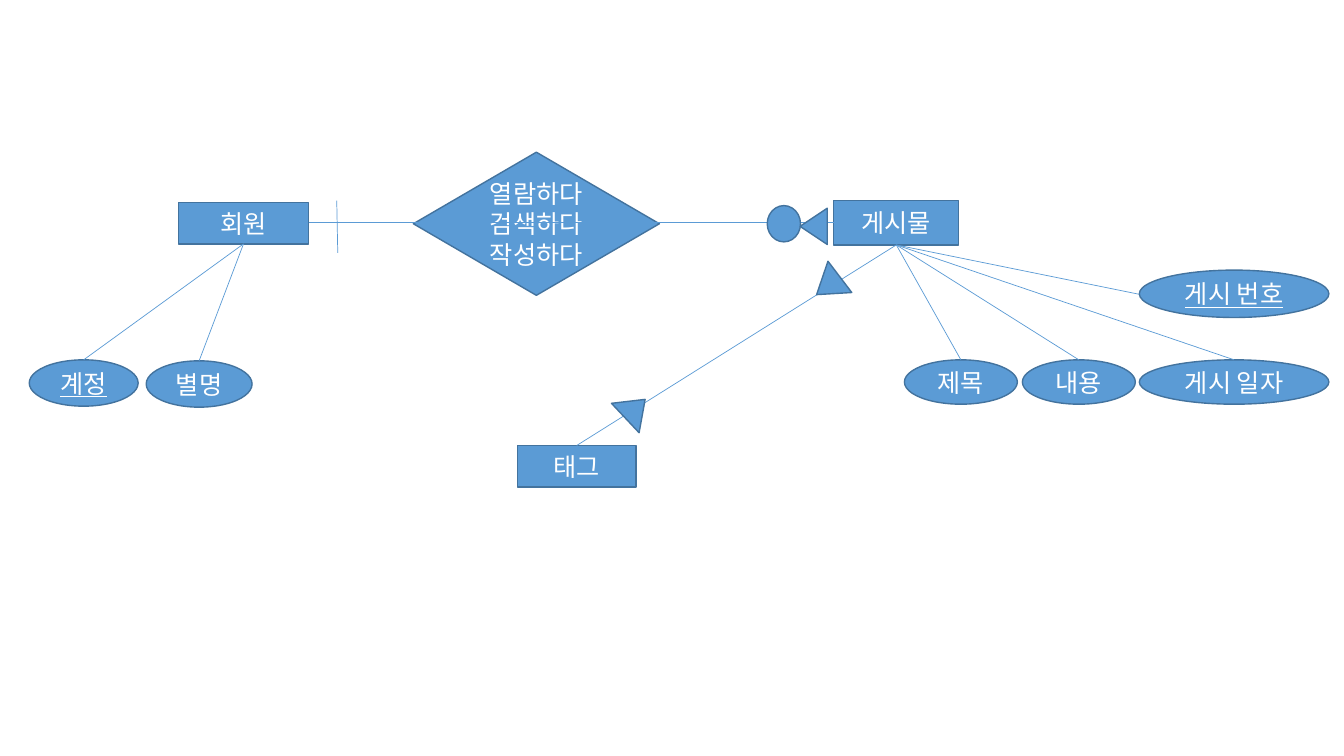
"""Build an entity-relationship diagram of members, posts and tags."""
from dataclasses import dataclass

from lxml import etree
from pptx import Presentation
from pptx.dml.color import RGBColor
from pptx.enum import shapes, text
from pptx.oxml import ns
from pptx.util import Inches, Pt


@dataclass(frozen=True)
class Theme:
    fill: RGBColor = RGBColor(0x5B, 0x9B, 0xD5)
    outline: RGBColor = RGBColor(0x43, 0x73, 0x9E)
    label: RGBColor = RGBColor(0xFF, 0xFF, 0xFF)
    font: str = "Noto Sans CJK KR"
    size: Pt = Pt(18)
    outline_width: Pt = Pt(1)
    link_width: Pt = Pt(0.5)


theme = Theme()
kind = shapes.MSO_SHAPE
TOP, BOTTOM = 0, 2

presentation = Presentation()
presentation.slide_width = Inches(13.33)
presentation.slide_height = Inches(7.5)
slide = presentation.slides.add_slide(presentation.slide_layouts[6])


def add_node(preset, box, label="", underline=None, rotation=0):
    shape = slide.shapes.add_shape(preset, *map(Inches, box))
    shape.shadow.inherit = False
    shape.rotation = rotation
    shape.fill.solid()
    shape.fill.fore_color.rgb = theme.fill
    shape.line.color.rgb = theme.outline
    shape.line.width = theme.outline_width
    if label:
        frame = shape.text_frame
        frame.margin_left = frame.margin_right = 0
        frame.vertical_anchor = text.MSO_ANCHOR.MIDDLE
        frame.text = label
        for paragraph in frame.paragraphs:
            paragraph.alignment = text.PP_ALIGN.CENTER
            font = paragraph.font
            font.name = theme.font
            font.size = theme.size
            font.underline = underline
            font.color.rgb = theme.label
            properties = paragraph._p.pPr.find(ns.qn("a:defRPr"))
            etree.SubElement(properties, ns.qn("a:ea"), typeface=theme.font)
    return shape


def add_link(start, end):
    link = slide.shapes.add_connector(
        shapes.MSO_CONNECTOR.STRAIGHT, *map(Inches, start + end))
    link.line.color.rgb = theme.fill
    link.line.width = theme.link_width
    etree.SubElement(link._element.spPr, ns.qn("a:effectLst"))
    return link


member = add_node(kind.RECTANGLE, (1.77, 2.01, 1.29, 0.41), "회원")
post = add_node(kind.RECTANGLE, (8.27, 1.99, 1.24, 0.44), "게시물")
tag = add_node(kind.RECTANGLE, (5.13, 4.42, 1.18, 0.41), "태그")

attributes = [
    (member, "계정", (0.29, 3.57, 1.08, 0.46), True),
    (member, "별명", (1.45, 3.58, 1.05, 0.46), None),
    (post, "제목", (8.97, 3.57, 1.12, 0.44), None),
    (post, "내용", (10.14, 3.57, 1.12, 0.44), None),
    (post, "게시 일자", (11.3, 3.57, 1.88, 0.44), None),
]
links = [(post, tag)]
for entity, label, box, is_key in attributes:
    links.append((entity, add_node(kind.OVAL, box, label, is_key)))
for source, target in links:
    link = add_link((0, 0), (1, 1))
    link.begin_connect(source, BOTTOM)
    link.end_connect(target, TOP)

add_node(kind.DIAMOND, (4.1, 1.51, 2.44, 1.42), "열람하다\n검색하다\n작성하다")
add_link((3.06, 2.21), (8.27, 2.21))
add_link((3.34, 1.99), (3.35, 2.51))
add_link((8.89, 2.43), (11.3, 2.92))
add_node(kind.OVAL, (11.3, 2.68, 1.88, 0.47), "게시 번호", True)

many_marks = [
    ((7.89, 2.11, 0.36, 0.27), 270),
    ((8.02, 2.69, 0.39, 0.29), 232.7),
    ((6.1, 3.92, 0.4, 0.27), 46.8),
]
for box, rotation in many_marks:
    add_node(kind.ISOSCELES_TRIANGLE, box, rotation=rotation)
add_node(kind.OVAL, (7.61, 2.04, 0.33, 0.36))

presentation.save("out.pptx")
